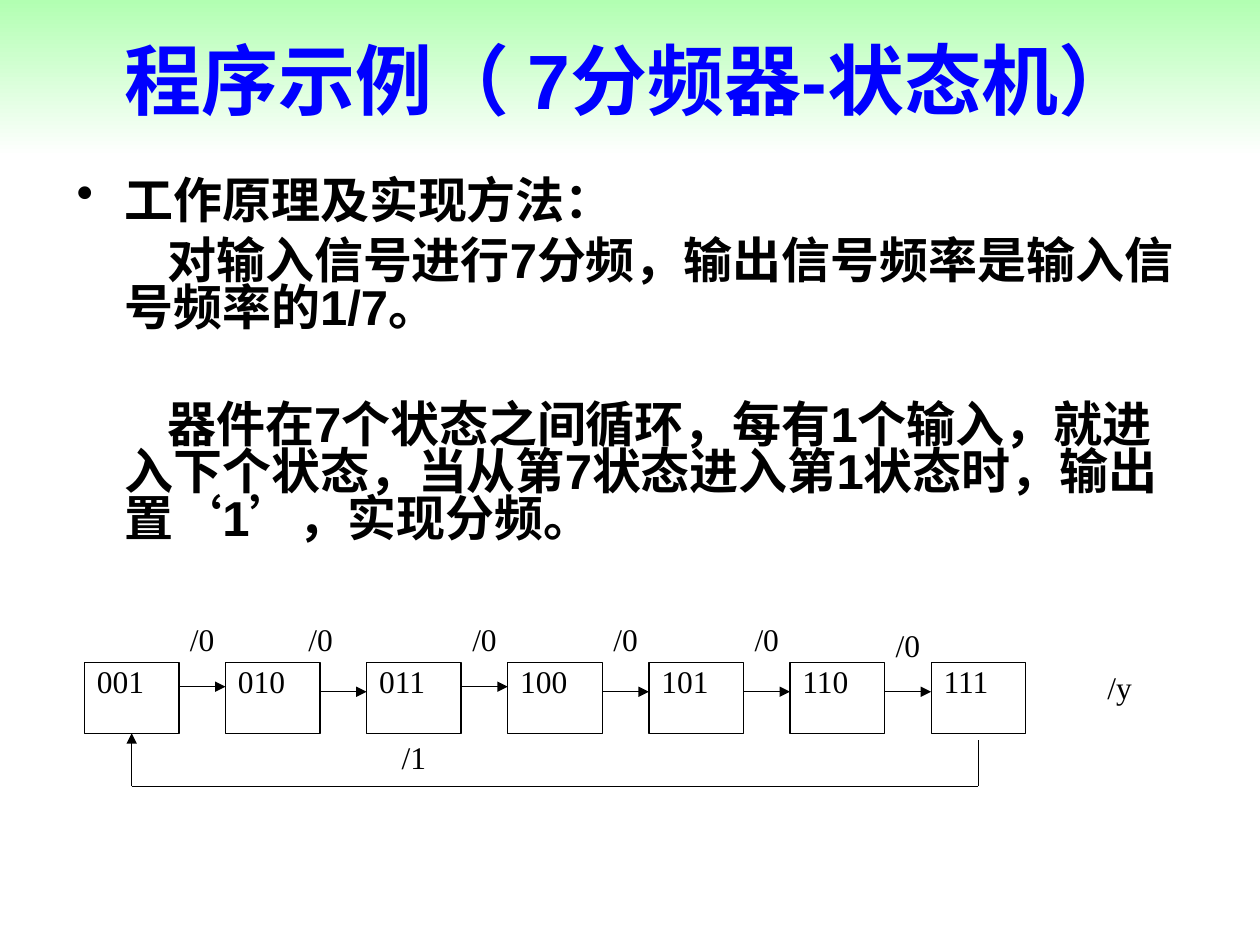
from dataclasses import dataclass, field

from lxml.etree import SubElement as Sub
from pptx import Presentation
from pptx.dml.color import RGBColor as Rgb
from pptx.enum.shapes import MSO_CONNECTOR as Conn, MSO_SHAPE as Kind
from pptx.enum.text import MSO_ANCHOR as Anchor, PP_ALIGN as Align
from pptx.oxml.ns import qn
from pptx.util import Inches, Pt


@dataclass(frozen=True)
class Theme:
    ink: Rgb = Rgb(0, 0, 0)
    paper: Rgb = Rgb(255, 255, 255)
    blue: Rgb = Rgb(0, 0, 255)
    green: Rgb = Rgb(0xB2, 0xFF, 0xB2)
    sans: str = "Arial"
    serif: str = "Times New Roman"
    head: Pt = Pt(44)
    body: Pt = Pt(28)
    note: Pt = Pt(18)
    rule: Pt = Pt(0.75)


THEME = Theme()
HEAD = dict(name=THEME.sans, size=THEME.head, bold=True)
BODY = dict(name=THEME.sans, size=THEME.body, bold=True)
NOTE = dict(name=THEME.serif, size=THEME.note, bold=False)
TIGHT = dict(alignment=Align.JUSTIFY, line_spacing=0.8)


@dataclass(frozen=True)
class Place:
    left: float
    top: float
    wide: float
    high: float

    def span(self) -> list:
        return [Inches(n) for n in (self.left, self.top, self.wide, self.high)]


@dataclass(frozen=True)
class Point:
    text: str
    first: float
    space: float
    mark: bool = False


@dataclass(frozen=True)
class Label:
    text: str
    left: float
    top: float = 4.93


@dataclass(frozen=True)
class Line:
    start: tuple
    stop: tuple
    arrow: bool = field(default=True)


LEFT, TOP, STEP, WIDE, HIGH = 0.67, 5.26, 1.12, 0.75, 0.56
STATES = ("001", "010", "011", "100", "101", "110", "111")
EDGE = LEFT + WIDE
HALF = LEFT + WIDE / 2
LAST = HALF + 6 * STEP
LOW = 6.24
LEVELS = (5.45, 5.49, 5.45, 5.49, 5.49, 5.49)
HOPS = [Line((EDGE + i * STEP, y), (LEFT + (i + 1) * STEP, y))
        for i, y in enumerate(LEVELS)]
LOOP = [Line((HALF, LOW), (LAST, LOW), False),
        Line((LAST, LOW), (LAST, 5.87), False)]
BACK = Line((HALF, LOW), (HALF, TOP + HIGH))
LABELS = [
    *(Label("/0", 1.41 + i * STEP) for i in (0, 2, 3, 4)),
    Label("/0", 2.35), Label("/0", 7.01, 4.98),
    Label("/1", 3.09, 5.87), Label("/y", 8.69, 5.31),
]
POINTS = [
    Point("工作原理及实现方法：", -0.38, 0, True),
    Point("对输入信号进行7分频，输出信号频率是输入信号频率的1/7。", 0.34, 7),
    Point("器件在7个状态之间循环，每有1个输入，就进入下个状态，"
          "当从第7状态进入第1状态时，输出置‘1’，实现分频。", 0.34, 40),
]


def apply(item, look: dict) -> None:
    for key, value in look.items():
        setattr(item, key, value)


def write(para, text: str, font: dict, look: dict, tint: Rgb = THEME.ink) -> None:
    para.text = text
    apply(para, look)
    apply(para.font, font)
    para.font.color.rgb = tint


def draw_head(shapes) -> None:
    band = shapes.add_shape(Kind.RECTANGLE, *Place(0, 0, 10, 1.25).span())
    band.shadow.inherit = False
    band.fill.gradient()
    band.fill.gradient_angle = 270
    for stop, tint in zip(band.fill.gradient_stops, (THEME.green, THEME.paper)):
        stop.color.rgb = tint
    band.line.fill.background()
    apply(band.text_frame, dict(word_wrap=True, vertical_anchor=Anchor.MIDDLE))
    write(band.text_frame.paragraphs[0], "程序示例（ 7分频器-状态机）", HEAD,
          dict(alignment=Align.CENTER), THEME.blue)


def draw_body(shapes) -> None:
    frame = shapes.add_textbox(*Place(0.51, 1.39, 9, 3.07).span()).text_frame
    frame.word_wrap = True
    for i, point in enumerate(POINTS):
        para = frame.add_paragraph() if i else frame.paragraphs[0]
        props = para._p.get_or_add_pPr()
        props.set("marL", str(Inches(0.38)))
        props.set("indent", str(Inches(point.first)))
        if point.mark:
            Sub(props, qn("a:buChar")).set("char", "•")
        write(para, point.text, BODY,
              dict(line_spacing=0.8, space_before=Pt(point.space)))


def draw_state(shapes, text: str, place: Place):
    box = shapes.add_shape(Kind.RECTANGLE, *place.span())
    box.shadow.inherit = False
    box.fill.solid()
    box.fill.fore_color.rgb = THEME.paper
    box.line.color.rgb = THEME.ink
    box.line.width = THEME.rule
    box.text_frame.vertical_anchor = Anchor.TOP
    write(box.text_frame.paragraphs[0], text, NOTE, TIGHT)
    return box


def draw_label(shapes, label: Label) -> None:
    place = Place(label.left, label.top, HIGH, HIGH)
    frame = shapes.add_textbox(*place.span()).text_frame
    frame.word_wrap = True
    write(frame.paragraphs[0], label.text, NOTE, TIGHT)


def draw_line(shapes, line: Line):
    ends = [Inches(n) for n in (*line.start, *line.stop)]
    link = shapes.add_connector(Conn.STRAIGHT, *ends)
    link.line.color.rgb = THEME.ink
    link.line.width = THEME.rule
    if line.arrow:
        Sub(link.line._get_or_add_ln(), qn("a:tailEnd")).set("type", "triangle")
    Sub(link._element.spPr, qn("a:effectLst"))
    return link


def main() -> None:
    deck = Presentation()
    apply(deck, dict(slide_width=Inches(10), slide_height=Inches(7.5)))
    shapes = deck.slides.add_slide(deck.slide_layouts[6]).shapes
    draw_body(shapes)
    draw_head(shapes)
    boxes = [draw_state(shapes, text, Place(LEFT + i * STEP, TOP, WIDE, HIGH))
             for i, text in enumerate(STATES)]
    for line in HOPS + LOOP:
        draw_line(shapes, line)
    draw_line(shapes, BACK).end_connect(boxes[0], 2)
    for label in LABELS:
        draw_label(shapes, label)
    deck.save("out.pptx")


if __name__ == "__main__":
    main()
